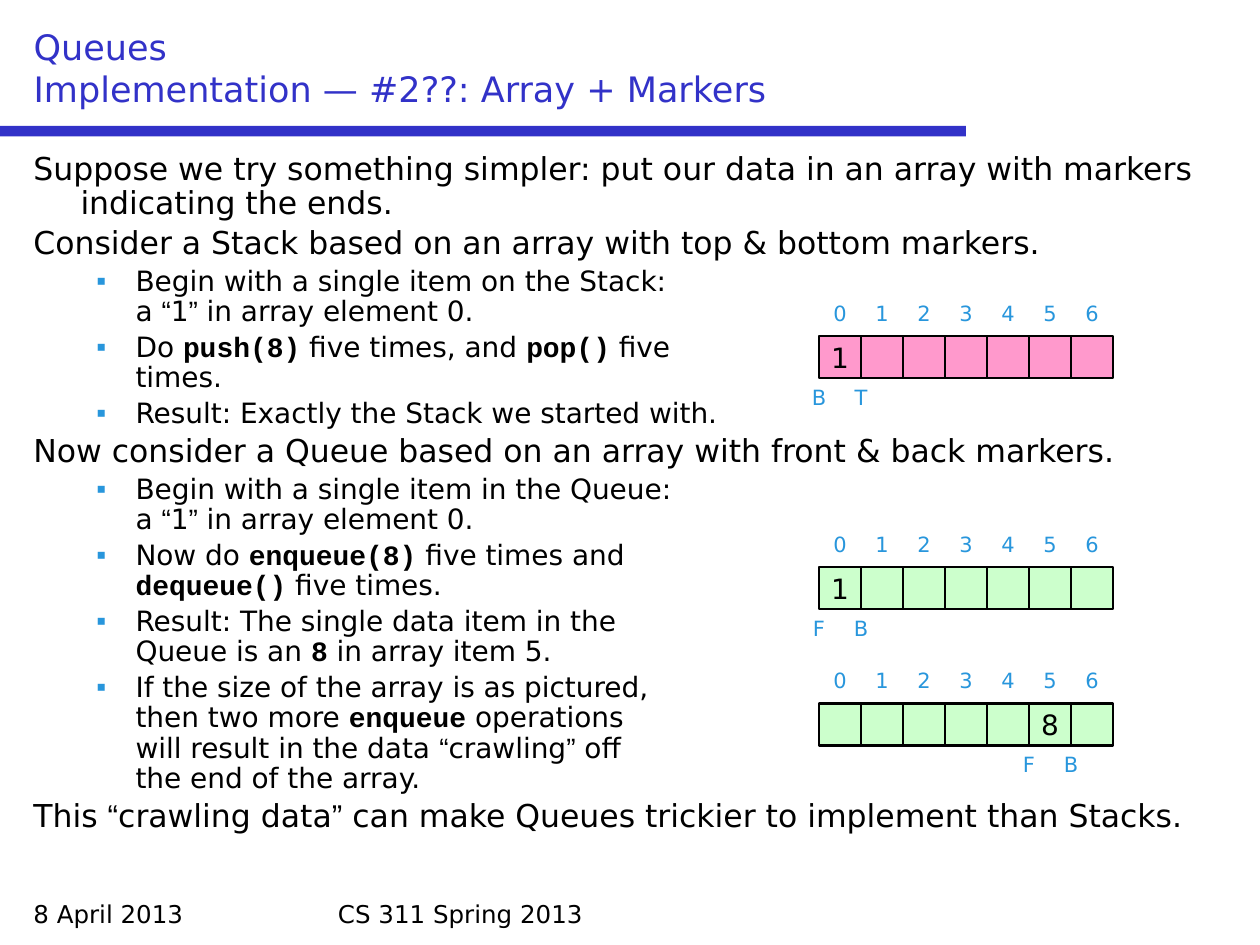
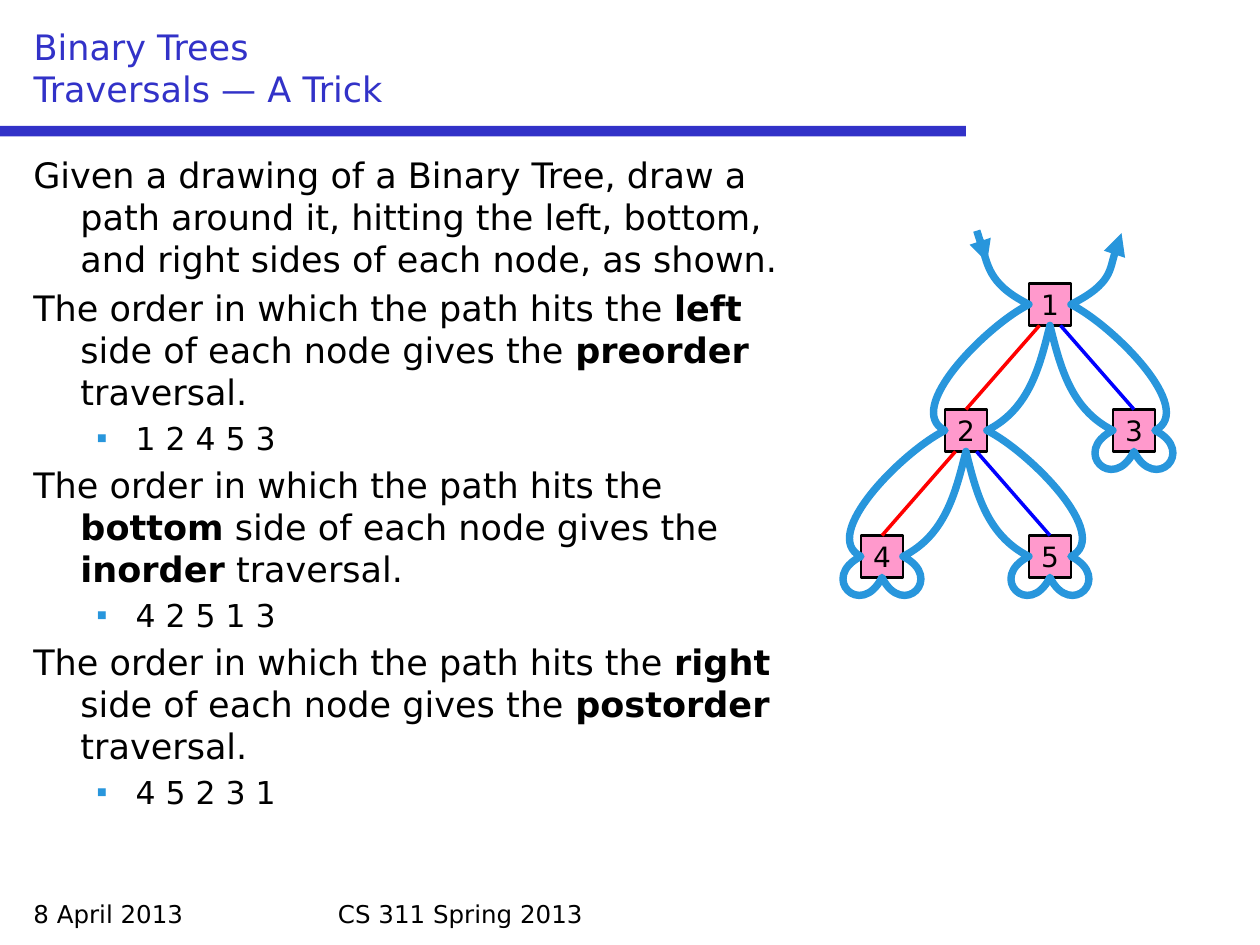
"""Builds two lecture slides: array queues and binary tree traversals."""
from dataclasses import dataclass
from typing import Iterator

from lxml import etree
from pptx import Presentation
from pptx import util as u
from pptx.dml import color
from pptx.enum import shapes, text
from pptx.oxml import ns

SANS, MONO, ARIAL = "DejaVu Sans", "Courier New", "Arial"
BLACK, NAVY, SKY = "000000", "3232C8", "2896DC"
PINK, GREEN, RED, BLUE = "FF99CC", "CCFFCC", "FF0000", "0000FF"
CELL = 2.54 / 3
HALF = CELL / 2
LEFT = HALF


@dataclass(frozen=True)
class Run:
    words: str
    font: str = SANS
    bold: bool = False


@dataclass(frozen=True)
class Para:
    runs: list[Run]
    sub: bool = False


@dataclass(frozen=True)
class Row:
    top: float
    fill: str
    item: str
    index: int
    marks: str


@dataclass(frozen=True)
class Node:
    label: str
    x: float
    y: float
    kids: tuple["Node", ...] = ()


@dataclass(frozen=True)
class Hit:
    x: float
    y: float
    enter: tuple[float, float]
    leave: tuple[float, float]


def say(words: str) -> Run:
    return Run(words)


def code(words: str) -> Run:
    return Run(words, MONO, True)


def bold(words: str) -> Run:
    return Run(words, bold=True)


def quote(words: str) -> list[Run]:
    return [Run("“", ARIAL), Run(words), Run("”", ARIAL)]


def main_par(*runs: Run) -> Para:
    return Para(list(runs))


def sub_par(*runs: Run) -> Para:
    return Para(list(runs), True)


def rgb(value: str) -> color.RGBColor:
    return color.RGBColor.from_string(value)


def add_runs(par, runs: list[Run], size: float, tint: str) -> None:
    for item in runs:
        for num, line in enumerate(item.words.split("\n")):
            if num:
                par.add_line_break()
            if line:
                run = par.add_run()
                run.text = line
                run.font.name, run.font.size = item.font, u.Pt(size)
                run.font.bold = item.bold
                run.font.color.rgb = rgb(tint)


def add_box(slide, x: float, y: float, wide: float, high: float):
    box = slide.shapes.add_textbox(u.Cm(x), u.Cm(y), u.Cm(wide), u.Cm(high))
    box.text_frame.word_wrap = True
    return box.text_frame


def add_label(slide, words: str, x: float, y: float) -> None:
    par = add_box(slide, x, y, CELL, 0.77).paragraphs[0]
    par.alignment = text.PP_ALIGN.CENTER
    add_runs(par, [say(words)], 12, SKY)


def add_rect(slide, x: float, y: float, wide: float, high: float, fill: str):
    rect = slide.shapes.add_shape(
        shapes.MSO_SHAPE.RECTANGLE, u.Cm(x), u.Cm(y), u.Cm(wide), u.Cm(high))
    rect.shadow.inherit = False
    rect.fill.solid()
    rect.fill.fore_color.rgb = rgb(fill)
    rect.line.fill.background()
    return rect


def add_cell(slide, x: float, y: float, fill: str, words: str) -> None:
    cell = add_rect(slide, x, y, CELL, CELL, fill)
    set_line(cell, BLACK, 1.25)
    if words:
        frame = cell.text_frame
        frame.word_wrap = False
        frame.vertical_anchor = text.MSO_ANCHOR.MIDDLE
        frame.paragraphs[0].alignment = text.PP_ALIGN.CENTER
        add_runs(frame.paragraphs[0], [say(words)], 16, BLACK)


def set_line(shape, tint: str, width: float, arrow: bool = False) -> None:
    shape.line.color.rgb = rgb(tint)
    shape.line.width = u.Pt(width)
    if arrow:
        line = shape._element.spPr.find(ns.qn("a:ln"))
        etree.SubElement(line, ns.qn("a:tailEnd"), type="triangle")


def add_line(slide, x: float, y: float, x2: float, y2: float,
             tint: str, width: float, arrow: bool = False) -> None:
    line = slide.shapes.add_connector(
        shapes.MSO_CONNECTOR.STRAIGHT, u.Cm(x), u.Cm(y), u.Cm(x2), u.Cm(y2))
    set_line(line, tint, width, arrow)
    etree.SubElement(line._element.spPr, ns.qn("a:effectLst"))


def add_slide(deck, title: str):
    slide = deck.slides.add_slide(deck.slide_layouts[5])
    add_rect(slide, 0, 3 * CELL, 23 * CELL, CELL / 4, NAVY)
    for words, x, wide in (("8 April 2013", LEFT, 7 * CELL),
                           ("CS 311 Spring 2013", 7.75 * CELL, 14.5 * CELL)):
        par = add_box(slide, x, 21.25 * CELL, wide, CELL).paragraphs[0]
        add_runs(par, [say(words)], 14, BLACK)
    head = slide.shapes.title
    head.left, head.top = u.Cm(LEFT), u.Cm(HALF)
    head.width, head.height = u.Cm(29 * CELL), u.Cm(2.25 * CELL)
    frame = head.text_frame
    frame.auto_size = text.MSO_AUTO_SIZE.NONE
    frame.vertical_anchor = text.MSO_ANCHOR.BOTTOM
    frame.paragraphs[0].alignment = text.PP_ALIGN.LEFT
    add_runs(frame.paragraphs[0], [say(title)], 20, NAVY)
    return slide


def add_body(slide, pars: list[Para], wide: float, size: int,
             pitch: float) -> None:
    frame = add_box(slide, LEFT, 3.5 * CELL, wide, 17.5 * CELL)
    for num, item in enumerate(pars):
        par = frame.add_paragraph() if num else frame.paragraphs[0]
        high = size - 2 if item.sub else size
        par.line_spacing = pitch
        par.space_before = u.Pt(0.2 * high if num else 0)
        props = par._p.get_or_add_pPr()
        inset, hang = (2.06, 0.79) if item.sub else (0.95, 0.95)
        props.set("marL", str(u.Cm(inset)))
        props.set("indent", str(-u.Cm(hang)))
        if item.sub:
            par.level = 1
            tint = etree.SubElement(props, ns.qn("a:buClr"))
            etree.SubElement(tint, ns.qn("a:srgbClr"), val=SKY)
            etree.SubElement(props, ns.qn("a:buFont"), typeface=ARIAL)
            etree.SubElement(props, ns.qn("a:buChar"), char="▪")
        add_runs(par, item.runs, high, BLACK)


def add_row(slide, row: Row) -> None:
    left = 19.5 * CELL
    for num in range(7):
        x = left + num * CELL
        add_cell(slide, x, row.top, row.fill,
                 row.item if num == row.index else "")
        add_label(slide, str(num), x, row.top - CELL)
    for num, mark in enumerate(row.marks, row.index):
        add_label(slide, mark, left + num * CELL - HALF, row.top + CELL)


def make_tree() -> Node:
    x, y, side, drop = 25 * CELL, 6.75 * CELL, 2 * CELL, 3 * CELL
    low = y + 2 * drop
    pair = (Node("4", x - 2 * side, low), Node("5", x, low))
    return Node("1", x, y, (Node("2", x - side, y + drop, pair),
                            Node("3", x + side, y + drop)))


def walk(node: Node) -> Iterator[Hit]:
    bend = HALF / 2 if node.kids else HALF
    mid = node.y + HALF
    yield Hit(node.x - HALF, mid, (-CELL, -HALF), (-CELL, HALF))
    if node.kids:
        yield from walk(node.kids[0])
    yield Hit(node.x, node.y + CELL, (-bend, CELL), (bend, CELL))
    if node.kids:
        yield from walk(node.kids[1])
    yield Hit(node.x + HALF, mid, (CELL, HALF), (CELL, -HALF))


def bends(a: Hit, b: Hit) -> Iterator[tuple[int, int]]:
    for x, y in ((a.x + a.leave[0], a.y + a.leave[1]),
                 (b.x + b.enter[0], b.y + b.enter[1]), (b.x, b.y)):
        yield u.Cm(x), u.Cm(y)


def round_off(shape) -> None:
    legs = list(shape._element.iter(ns.qn("a:lnTo")))
    for num in range(0, len(legs), 3):
        arc = etree.Element(ns.qn("a:cubicBezTo"))
        legs[num].addprevious(arc)
        for leg in legs[num:num + 3]:
            arc.append(leg[0])
            leg.getparent().remove(leg)


def add_nodes(slide, node: Node) -> None:
    add_cell(slide, node.x - HALF, node.y, PINK, node.label)
    for kid in node.kids:
        add_nodes(slide, kid)


def add_edges(slide, node: Node) -> None:
    for kid, way, tint in zip(node.kids, (-1, 1), (RED, BLUE)):
        add_line(slide, node.x + way * HALF / 2, node.y + CELL,
                 kid.x, kid.y, tint, 2)
        add_edges(slide, kid)


def add_trail(slide, root: Node) -> None:
    hits = [Hit(19.76, 4.85, (0, 0), (0.16, 0.48)), *walk(root),
            Hit(22.61, 4.7, (-0.1, 0.2), (0, 0))]
    pen = slide.shapes.build_freeform(u.Cm(hits[0].x), u.Cm(hits[0].y))
    pen.add_line_segments(
        [dot for a, b in zip(hits, hits[1:]) for dot in bends(a, b)],
        close=False)
    trail = pen.convert_to_shape()
    round_off(trail)
    trail.shadow.inherit = False
    trail.fill.background()
    set_line(trail, SKY, 4.25, True)
    add_line(slide, 19.69, 4.65, 19.9, 5.29, SKY, 4.25, True)


def queue_slide(deck) -> None:
    slide = add_slide(deck, "Queues\nImplementation — #2??: Array + Markers")
    one = [*quote("1"), say(" in array element 0.")]
    add_body(slide, [
        main_par(say("Suppose we try something simpler: put our data in an "
                     "array with markers indicating the ends.")),
        main_par(say("Consider a Stack based on an array with top & bottom "
                     "markers.")),
        sub_par(say("Begin with a single item on the Stack:\na "), *one),
        sub_par(say("Do "), code("push(8)"), say(" five times, and "),
                code("pop()"), say(" five\ntimes.")),
        sub_par(say("Result: Exactly the Stack we started with.")),
        main_par(say("Now consider a Queue based on an array with front & "
                     "back markers.")),
        sub_par(say("Begin with a single item in the Queue:\na "), *one),
        sub_par(say("Now do "), code("enqueue(8)"), say(" five times and\n"),
                code("dequeue()"), say(" five times.")),
        sub_par(say("Result: The single data item in the\nQueue is an "),
                code("8"), say(" in array item 5.")),
        sub_par(say("If the size of the array is as pictured,\nthen two more "),
                code("enqueue"),
                say(" operations\nwill result in the data "),
                *quote("crawling"), say(" off\nthe end of the array.")),
        main_par(say("This "), *quote("crawling data"),
                 say(" can make Queues trickier to implement than Stacks.")),
    ], 29 * CELL, 18, 0.9)
    for row in (Row(8 * CELL, PINK, "1", 0, "BT"),
                Row(13.5 * CELL, GREEN, "1", 0, "FB"),
                Row(16.75 * CELL, GREEN, "8", 5, "FB")):
        add_row(slide, row)


def tree_slide(deck) -> None:
    slide = add_slide(deck, "Binary Trees\nTraversals — A Trick")
    pars = [main_par(say(
        "Given a drawing of a Binary Tree, draw a path around it, hitting "
        "the left, bottom, and right sides of each node, as shown."))]
    for side, order, trip in (("left", "preorder", "1 2 4 5 3"),
                              ("bottom", "inorder", "4 2 5 1 3"),
                              ("right", "postorder", "4 5 2 3 1")):
        pars += [main_par(say("The order in which the path hits the "),
                          bold(side), say(" side of each node gives the "),
                          bold(order), say(" traversal.")),
                 sub_par(say(trip))]
    add_body(slide, pars, 19.25 * CELL, 20, 1.0)
    root = make_tree()
    add_nodes(slide, root)
    add_edges(slide, root)
    add_trail(slide, root)


def main() -> None:
    deck = Presentation()
    deck.slide_width, deck.slide_height = u.Cm(25.4), u.Cm(19.05)
    queue_slide(deck)
    tree_slide(deck)
    deck.save("out.pptx")


if __name__ == "__main__":
    main()
